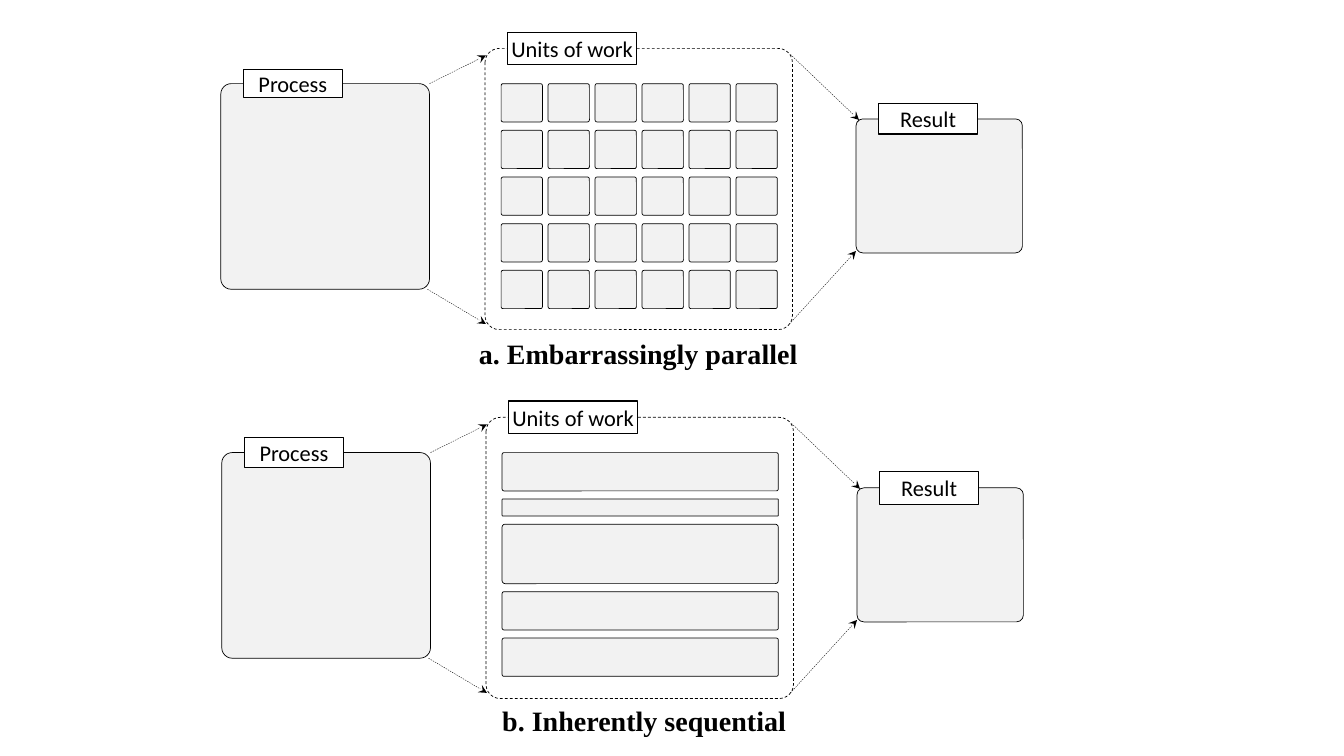
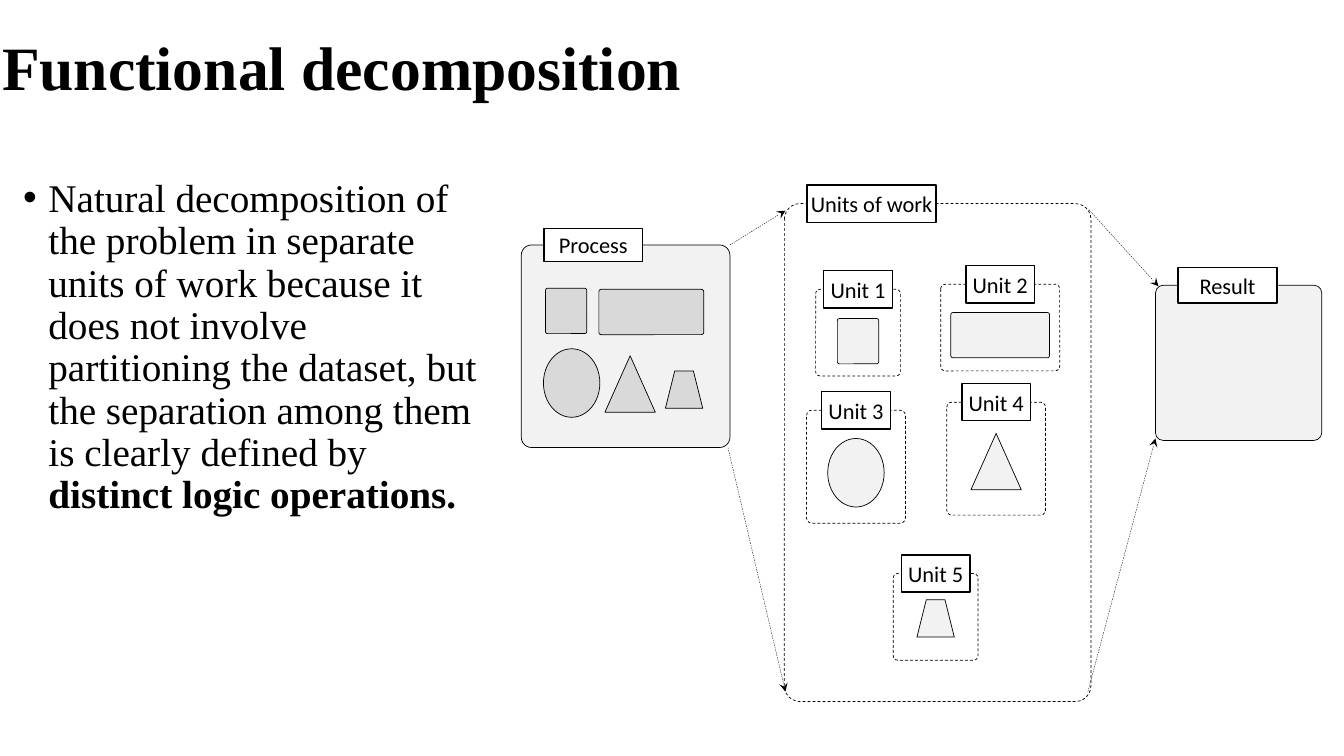
from collections import namedtuple

from lxml.etree import SubElement
from pptx import Presentation
from pptx.dml.color import RGBColor
from pptx.enum.dml import MSO_LINE_DASH_STYLE as Dash
from pptx.enum.shapes import MSO_CONNECTOR as Connector, MSO_SHAPE as Shape
from pptx.enum.text import MSO_ANCHOR as Anchor, MSO_AUTO_SIZE as AutoSize, PP_ALIGN as Align
from pptx.oxml.ns import qn
from pptx.util import Inches, Pt

CELL = 0.1  # side of a grid cell in inches: all lengths are columns and rows
COLORS = {"ink": "000000", "paper": "FFFFFF", "light": "F2F2F2", "dark": "D9D9D9"}
FONTS = {
    "title": {"name": "Times New Roman", "size": Pt(44), "bold": True},
    "body": {"name": "Times New Roman", "size": Pt(28)},
    "caption": {"name": "Times New Roman", "size": Pt(20), "bold": True},
    "tag": {"name": "Calibri", "size": Pt(16), "bold": False},
}
TAG_FRAME = {"margin_left": 0, "margin_right": 0, "vertical_anchor": Anchor.MIDDLE}
CAPTION_FRAME = {"word_wrap": False, "auto_size": AutoSize.SHAPE_TO_FIT_TEXT}
CORNER = 0.051
TAG_INDENT = 2.25
TAG_WIDTHS = {"Process": 9.8, "Units of work": 12.8, "Result": 9.8}

Box = namedtuple("Box", "left top width height")


def grid(cells):
    return Inches(cells * CELL)


def apply(target, values):
    for name, value in values.items():
        setattr(target, name, value)


class Diagram:
    """Holds the shared style and the current slide."""

    def __init__(self):
        self.presentation = Presentation()
        apply(self.presentation, {"slide_width": Inches(13.33), "slide_height": Inches(7.5)})
        self.slide = None

    def new_slide(self, layout):
        self.slide = self.presentation.slides.add_slide(self.presentation.slide_layouts[layout])

    def color(self, name):
        return RGBColor.from_string(COLORS[name])

    def style_font(self, font, style):
        apply(font, FONTS[style])
        font.color.rgb = self.color("ink")

    def shape(self, box, fill=None, kind=Shape.ROUNDED_RECTANGLE, line=0.5):
        shape = self.slide.shapes.add_shape(kind, *map(grid, box))
        shape.shadow.inherit = False
        if kind == Shape.ROUNDED_RECTANGLE:
            shape.adjustments[0] = CORNER
        if fill:
            shape.fill.solid()
            shape.fill.fore_color.rgb = self.color(fill)
        else:
            shape.fill.background()
            shape.line.dash_style = Dash.DASH
        shape.line.color.rgb = self.color("ink")
        shape.line.width = Pt(line)
        return shape

    def text(self, frame, text, style, frame_format):
        apply(frame, frame_format)
        paragraph = frame.paragraphs[0]
        paragraph.text = text
        paragraph.alignment = Align.CENTER
        self.style_font(paragraph.font, style)

    def tag(self, label, left, edge, width, height):
        """A label centred on the top edge of a frame."""
        shape = self.shape(Box(left, edge - height / 2, width, height), "paper", Shape.RECTANGLE, 1)
        self.text(shape.text_frame, label, "tag", TAG_FRAME)

    def stage(self, label, box, fill, tag_height):
        self.shape(box, fill)
        self.tag(label, box.left + TAG_INDENT, box.top, TAG_WIDTHS[label], tag_height)

    def caption(self, text, box):
        shape = self.slide.shapes.add_textbox(*map(grid, box))
        self.text(shape.text_frame, text, "caption", CAPTION_FRAME)

    def arrow(self, start, end):
        connector = self.slide.shapes.add_connector(Connector.STRAIGHT, *map(grid, start + end))
        connector.line.color.rgb = self.color("ink")
        connector.line.width = Pt(0.25)
        connector.line.dash_style = Dash.DASH
        SubElement(connector.line._get_or_add_ln(), qn("a:tailEnd"), type="stealth")
        SubElement(connector._element.spPr, qn("a:effectLst"))

    def flow(self, process, units, result, tag_heights):
        """Process, units of work and result, with arrows from corner to corner."""
        fills = ("light", None, "light")
        for label, box, fill, height in zip(TAG_WIDTHS, (process, units, result), fills, tag_heights):
            self.stage(label, box, fill, height)
        inset = units.height * 0.02
        process_right = process.left + process.width
        units_right = units.left + units.width
        units_bottom = units.top + units.height - inset
        self.arrow((process_right, process.top), (units.left + 0.1, units.top + 0.7))
        self.arrow((process_right - 0.2, process.top + process.height), (units.left + 0.1, units_bottom))
        self.arrow((units_right - 0.2, units.top + 0.6), (result.left + 0.3, result.top + 0.1))
        self.arrow((units_right - 0.3, units_bottom), (result.left, result.top + result.height - 0.2))

    def unit(self, label, box, kind, width, height, drop):
        """A dashed frame with its label and one icon, both centred across."""
        middle = box.left + box.width / 2
        self.shape(Box(middle - width / 2, box.top + drop, width, height), "light", kind)
        self.shape(box)
        self.tag(label, middle - 3.4, box.top, 6.8, 3.7)

    def title(self, text, box):
        title = self.slide.shapes.title
        apply(title, dict(zip(Box._fields, map(grid, box))))
        title.text_frame.vertical_anchor = Anchor.MIDDLE
        paragraph = title.text_frame.paragraphs[0]
        paragraph.text = text
        apply(paragraph, {"alignment": Align.LEFT, "line_spacing": 0.9})
        self.style_font(paragraph.font, "title")

    def bullet(self, runs, box):
        body = self.slide.placeholders[1]
        apply(body, dict(zip(Box._fields, map(grid, box))))
        paragraph = body.text_frame.paragraphs[0]
        properties = paragraph._p.get_or_add_pPr()
        properties.set("marL", str(Inches(0.25)))
        properties.set("indent", str(-Inches(0.25)))
        apply(paragraph, {"line_spacing": 0.9, "space_before": Pt(0)})
        self.style_font(paragraph.font, "body")
        for text, bold in runs:
            run = paragraph.add_run()
            run.text = text
            run.font.bold = bold


def decomposition_kinds(diagram):
    diagram.new_slide(6)

    def panel(left, top, tag_heights):
        diagram.flow(
            Box(left, top, 20.7, 20.4),
            Box(left + 26.2, top - 3.5, 30.5, 27.9),
            Box(left + 63, top + 3.5, 16.5, 13.3),
            tag_heights,
        )
        return left + 27.8

    # Equal independent units
    top = 8.3
    left = panel(21.9, top, (2.8, 3.2, 3))
    for row in range(5):
        for column in range(6):
            diagram.shape(Box(left + column * 4.66, top + row * 4.63, 4.1, 3.8), "light")
    diagram.caption("a. Embarrassingly parallel", Box(46.4, 32.9, 33.8, 4.4))

    # Sequential units of uneven size
    top = 44.9
    left = panel(22, top, (3, 3.2, 3.3))
    for height in (3.8, 1.7, 5.9, 3.8, 3.8):
        diagram.shape(Box(left, top, 27.4, height), "light")
        top += height + 0.8
    diagram.caption("b. Inherently sequential", Box(48.7, 69.3, 30.4, 4.4))


def functional_decomposition(diagram):
    diagram.new_slide(1)
    diagram.title("Functional decomposition", Box(-0.8, -0.1, 124.2, 14.1))
    diagram.bullet(
        [
            ("Natural decomposition of the problem in separate units of work because it does not "
             "involve partitioning the dataset, but the separation among them is clearly defined by ", False),
            ("distinct logic operations.", True),
        ],
        Box(1.3, 17.2, 48.3, 51.6),
    )
    diagram.flow(
        Box(51.7, 24.3, 20.7, 20.1),
        Box(77.8, 20.2, 30.4, 49.4),
        Box(114.6, 28.3, 16.5, 15.4),
        (3.3, 3.7, 3.5),
    )

    # Each operation: icon in the process, frame of its unit, icon width and drop there
    operations = [
        (Shape.ROUNDED_RECTANGLE, Box(54.1, 28.6, 4.1, 4.5), Box(80.9, 28.7, 8.4, 8.6), 4.1, 2.9),
        (Shape.ROUNDED_RECTANGLE, Box(59.4, 28.7, 10.4, 4.5), Box(93.3, 28.2, 11.8, 8.6), 9.8, 2.8),
        (Shape.OVAL, Box(53.9, 34.6, 5.6, 6.8), Box(80, 40.7, 9.8, 11.2), 5.6, 2.8),
        (Shape.ISOSCELES_TRIANGLE, Box(60, 35.3, 5, 5.6), Box(93.9, 39.9, 9.8, 11.2), 5, 3.1),
        (Shape.TRAPEZOID, Box(66, 36.8, 3.7, 3.7), Box(88.6, 56.9, 8.4, 8.6), 3.7, 2.6),
    ]
    for number, (kind, icon, frame, width, drop) in enumerate(operations, 1):
        diagram.shape(icon, "dark", kind)
        diagram.unit(f"Unit {number}", frame, kind, width, icon.height, drop)


def main():
    diagram = Diagram()
    decomposition_kinds(diagram)
    functional_decomposition(diagram)
    diagram.presentation.save("out.pptx")


if __name__ == "__main__":
    main()
